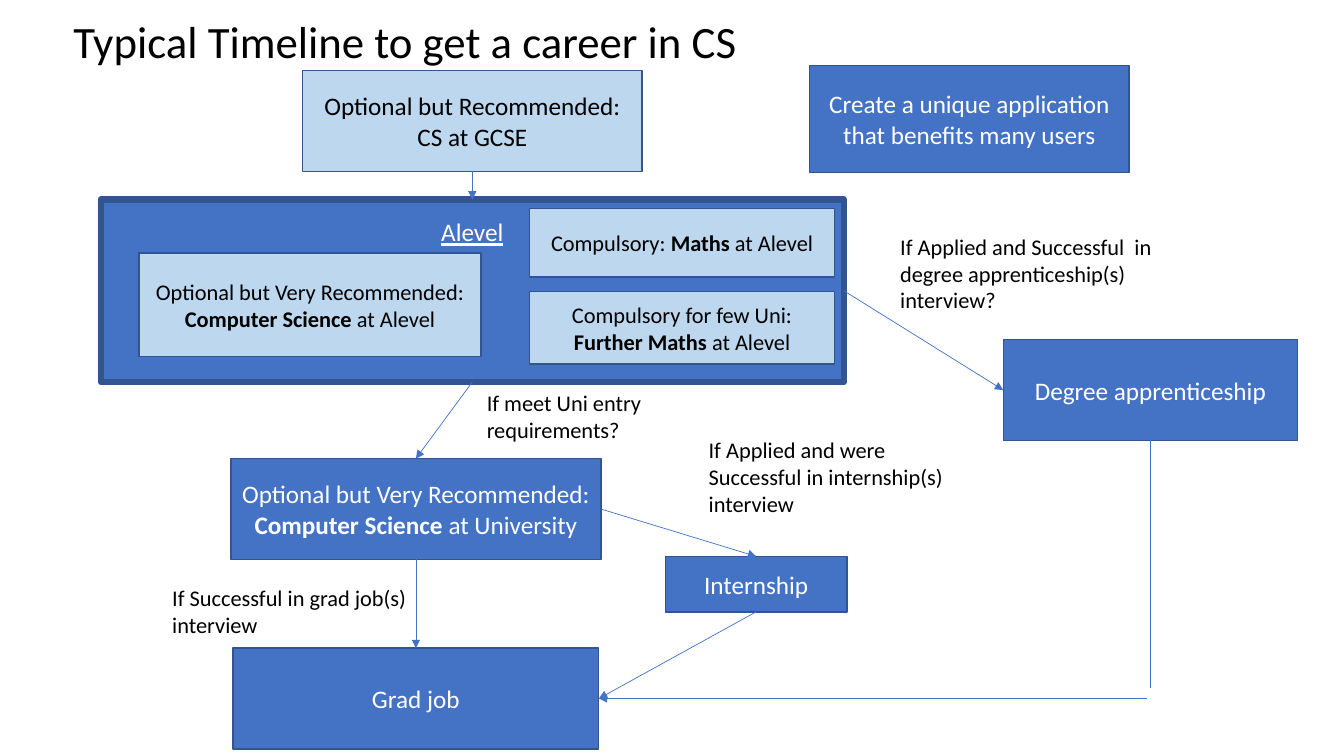
from dataclasses import dataclass

from lxml.etree import SubElement
from pptx import Presentation
from pptx.dml.color import RGBColor as Rgb
from pptx.enum.shapes import MSO_CONNECTOR as Connector, MSO_SHAPE as Shape
from pptx.enum.text import MSO_ANCHOR as Anchor, PP_ALIGN as Align
from pptx.oxml.ns import qn
from pptx.util import Pt

PX = 9144
TOP, LEFT, BOTTOM, RIGHT = range(4)


@dataclass(frozen=True)
class Theme:
    font: str = "Calibri"
    strong: Rgb = Rgb(0x44, 0x72, 0xC4)
    pale: Rgb = Rgb(0xBD, 0xD7, 0xEE)
    outline: Rgb = Rgb(0x32, 0x54, 0x91)
    light_text: Rgb = Rgb(0xFF, 0xFF, 0xFF)
    dark_text: Rgb = Rgb(0, 0, 0)
    title: int = 32
    step: int = 18
    note: int = 16


class Flowchart:
    """Draws steps, notes and links on one slide in one theme."""

    def __init__(self, slide, theme):
        self.shapes = slide.shapes
        self.theme = theme

    def label(self, frame, runs, size, color, align):
        frame.word_wrap = True
        paragraph = frame.paragraphs[0]
        paragraph.alignment = align
        font = paragraph.font
        font.name, font.size = self.theme.font, Pt(size)
        font.color.rgb = color
        for index, text in enumerate(runs):
            run = paragraph.add_run()
            run.text = text
            if index % 2:
                run.font.bold = True
        return paragraph

    def step(self, box, *runs, pale=False, size=None, border=1):
        theme = self.theme
        step = self.shapes.add_shape(Shape.RECTANGLE, *(n * PX for n in box))
        step.shadow.inherit = False
        step.fill.solid()
        step.fill.fore_color.rgb = theme.pale if pale else theme.strong
        step.line.color.rgb = theme.outline
        step.line.width = Pt(border)
        step.text_frame.vertical_anchor = Anchor.MIDDLE
        color = theme.dark_text if pale else theme.light_text
        self.label(step.text_frame, runs, size or theme.step, color, Align.CENTER)
        return step

    def stage(self, box, heading, inset):
        stage = self.step(box, heading, border=4.5)
        frame = stage.text_frame
        frame.vertical_anchor = Anchor.TOP
        frame.margin_top = inset * PX
        frame.paragraphs[0].font.underline = True
        return stage

    def note(self, box, text, size=None, anchor=Anchor.TOP, spacing=None):
        frame = self.shapes.add_textbox(*(n * PX for n in box)).text_frame
        frame.vertical_anchor = anchor
        size = size or self.theme.note
        paragraph = self.label(frame, [text], size, self.theme.dark_text, Align.LEFT)
        paragraph.line_spacing = spacing

    def link(self, start, end, arrow=True):
        link = self.shapes.add_connector(Connector.STRAIGHT, 0, 0, 0, 0)
        first, second = start
        if isinstance(first, int):
            link.begin_x, link.begin_y = first * PX, second * PX
        else:
            link.begin_connect(first, second)
        first, second = end
        if isinstance(first, int):
            link.end_x, link.end_y = first * PX, second * PX
        else:
            link.end_connect(first, second)
        link.line.color.rgb = self.theme.strong
        link.line.width = Pt(0.5)
        properties = link._element.spPr
        if arrow:
            SubElement(properties.find(qn("a:ln")), qn("a:tailEnd"), type="triangle")
        SubElement(properties, qn("a:effectLst"))


def main():
    deck = Presentation()
    deck.slide_width, deck.slide_height = 1333 * PX, 750 * PX
    theme = Theme()
    chart = Flowchart(deck.slides.add_slide(deck.slide_layouts[6]), theme)

    chart.note((63, -9, 780, 106), "Typical Timeline to get a career in CS",
               theme.title, Anchor.MIDDLE, 0.9)

    alevel = chart.stage((100, 198, 737, 181), "Alevel", 17)
    subjects = [
        ((138, 251, 339, 103), "Optional but Very Recommended: ", "Computer Science ", "at Alevel"),
        ((525, 207, 303, 68), "Compulsory: ", "Maths", " at Alevel"),
        ((525, 289, 303, 72), "Compulsory for few Uni: ", "Further Maths ", "at Alevel"),
    ]
    for box, *runs in subjects:
        chart.step(box, *runs, pale=True, size=theme.note)

    gcse = chart.step((300, 70, 337, 100), "Optional but Recommended: CS at GCSE", pale=True)
    university = chart.step((229, 455, 367, 100), "Optional but Very Recommended: ",
                            "Computer Science ", "at University")
    internship = chart.step((660, 552, 180, 55), "Internship")
    grad_job = chart.step((231, 643, 363, 100), "Grad job")
    apprenticeship = chart.step((995, 337, 292, 100), "Degree apprenticeship")
    chart.step((803, 65, 317, 106), "Create a unique application that benefits many users")

    conditions = [
        ((693, 428, 258, 91), "If Applied and were Successful in internship(s) interview"),
        ((161, 575, 287, 64), "If Successful in grad job(s) interview"),
        ((883, 226, 300, 91), "If Applied and Successful  in degree apprenticeship(s) interview?"),
        ((473, 381, 210, 64), "If meet Uni entry requirements?"),
    ]
    for box, text in conditions:
        chart.note(box, text)

    routes = [
        ((gcse, BOTTOM), (alevel, TOP)),
        ((alevel, BOTTOM), (university, TOP)),
        ((alevel, RIGHT), (apprenticeship, LEFT)),
        ((university, RIGHT), (internship, TOP)),
        ((university, BOTTOM), (grad_job, TOP)),
        ((internship, BOTTOM), (grad_job, RIGHT)),
        ((1138, 693), (grad_job, RIGHT)),
    ]
    for start, end in routes:
        chart.link(start, end)
    chart.link((apprenticeship, BOTTOM), (1141, 683), arrow=False)

    deck.save("out.pptx")


if __name__ == "__main__":
    main()
